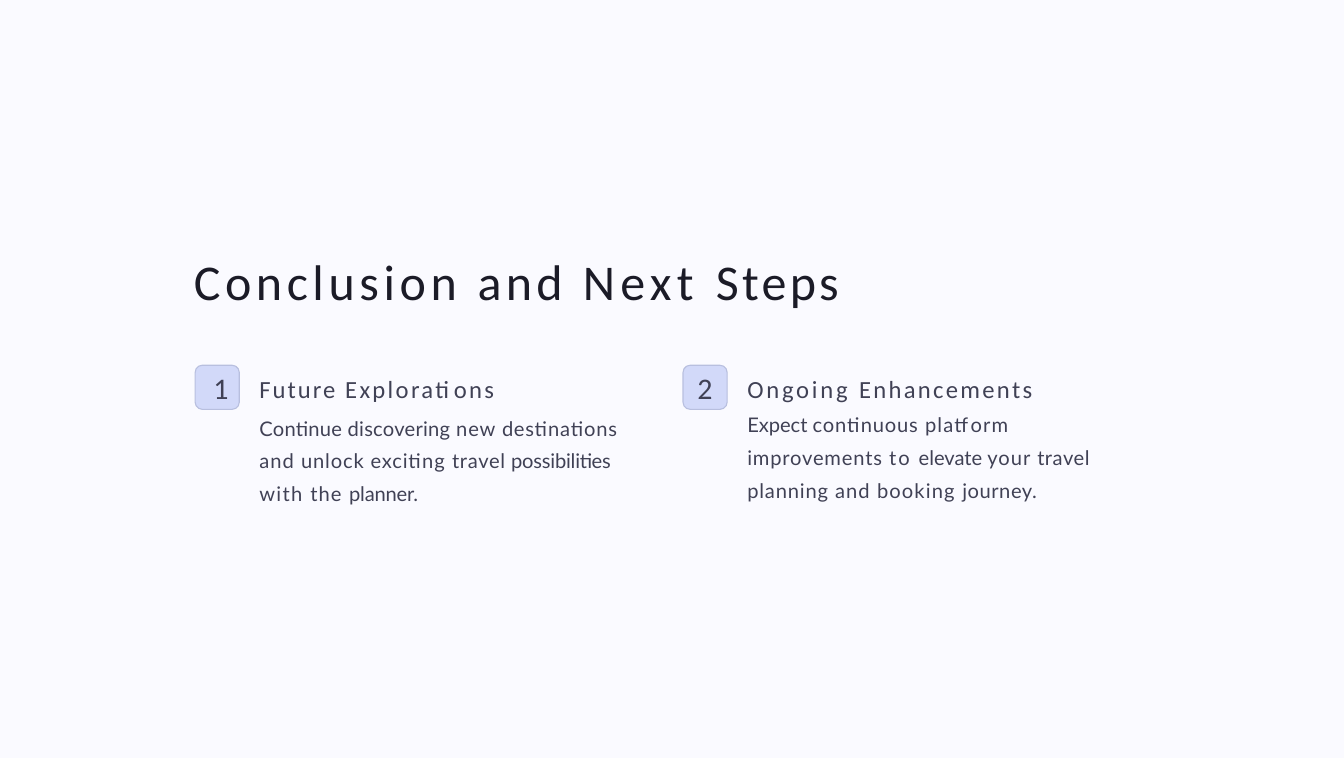
import pptx
import pptx.dml.color
import pptx.enum.shapes
import pptx.enum.text
import pptx.util

Pt = pptx.util.Pt
COLORS = {
    "background": "FAFAFF",
    "title": "1B1B27",
    "text": "404155",
    "badge": "D2D9F9",
    "badge_line": "B8BFDF",
}
TITLE = [("Conclusion ", 3.1), ("and ", 2.9), ("Next ", 3.6), ("Steps", 2.2)]
STEPS = [
    {
        "number": "1",
        "number_inset": 5,
        "heading": [("Future ", 1.4), ("Explorations", 1.6)],
        "body": [
            ("Continue discovering ", 0.2), ("new ", 0.6), ("destinations ", 0.5),
            ("and ", 0.7), ("unlock exciting ", 0.6), ("travel", 0.5),
            (" possibilities ", -0.1), ("with ", 0.9), ("the ", 0.8), ("planner.", -0.1),
        ],
        "line_spacing": 1.34,
        "space_before": 3.1,
    },
    {
        "number": "2",
        "number_inset": 0,
        "heading": [("Ongoing ", 1.9), ("Enhancements", 1.6)],
        "body": [
            ("Expect ", 0), ("continuous ", 0.6), ("platform ", 0.8),
            ("improvements ", 0.6), ("to ", 1.3), ("elevate ", 0), ("your ", 0.7),
            ("travel ", 0.4), ("planning ", 0.6), ("and ", 0.7), ("booking ", 0.8),
            ("journey.", 0.4),
        ],
        "line_spacing": 1.37,
        "space_before": 0,
    },
]
STEP_LEFT, STEP_PITCH = 130.7, 326.7
BADGE_TOP, BADGE_SIZE = 244.6, 29.5
TEXT_OFFSET, TEXT_TOP, TEXT_WIDTH, TEXT_HEIGHT = 43, 250.5, 250, 90


def color(name):
    return pptx.dml.color.RGBColor.from_string(COLORS[name])


def format_font(font, name, size, color_name):
    font.name = name
    font.size = Pt(size)
    font.bold = False
    font.color.rgb = color(color_name)


def write_spaced(paragraph, pieces, name, size, color_name):
    paragraph.alignment = pptx.enum.text.PP_ALIGN.LEFT
    for text, spacing in pieces:
        run = paragraph.add_run()
        run.text = text
        format_font(run.font, name, size, color_name)
        run.font._element.set("spc", str(round(spacing * 100)))


def prepare_frame(text_frame, anchor, left=0, top=0):
    text_frame.margin_left, text_frame.margin_top = Pt(left), Pt(top)
    text_frame.margin_right = text_frame.margin_bottom = 0
    text_frame.vertical_anchor = anchor
    text_frame.auto_size = pptx.enum.text.MSO_AUTO_SIZE.NONE
    text_frame.word_wrap = True


def set_title(slide):
    title = slide.shapes.title
    title.left, title.top, title.width, title.height = Pt(129.8), Pt(166.3), Pt(440), Pt(42.5)
    prepare_frame(title.text_frame, pptx.enum.text.MSO_ANCHOR.TOP, top=1.4)
    write_spaced(title.text_frame.paragraphs[0], TITLE, "Calibri", 33.5, "title")


def add_badge(slide, left, number, number_inset):
    badge = slide.shapes.add_shape(
        pptx.enum.shapes.MSO_SHAPE.ROUNDED_RECTANGLE,
        Pt(left), Pt(BADGE_TOP), Pt(BADGE_SIZE), Pt(BADGE_SIZE))
    badge.adjustments[0] = 0.16
    badge.shadow.inherit = False
    badge.fill.solid()
    badge.fill.fore_color.rgb = color("badge")
    badge.line.color.rgb = color("badge_line")
    badge.line.width = Pt(0.75)
    prepare_frame(badge.text_frame, pptx.enum.text.MSO_ANCHOR.MIDDLE, left=number_inset)
    badge.text_frame.text = number
    paragraph = badge.text_frame.paragraphs[0]
    paragraph.alignment = pptx.enum.text.PP_ALIGN.CENTER
    format_font(paragraph.runs[0].font, "Calibri", 20, "text")


def add_step_text(slide, left, step):
    box = slide.shapes.add_textbox(Pt(left), Pt(TEXT_TOP), Pt(TEXT_WIDTH), Pt(TEXT_HEIGHT))
    prepare_frame(box.text_frame, pptx.enum.text.MSO_ANCHOR.TOP)
    write_spaced(box.text_frame.paragraphs[0], step["heading"], "Calibri", 16.5, "text")
    body = box.text_frame.add_paragraph()
    body.line_spacing = step["line_spacing"]
    body.space_before = Pt(step["space_before"])
    write_spaced(body, step["body"], "Lato", 13.5, "text")


def main():
    presentation = pptx.Presentation()
    presentation.slide_width, presentation.slide_height = Pt(900), Pt(507.6)
    slide = presentation.slides.add_slide(presentation.slide_layouts[5])
    slide.background.fill.solid()
    slide.background.fill.fore_color.rgb = color("background")
    set_title(slide)
    for index, step in enumerate(STEPS):
        left = STEP_LEFT + index * STEP_PITCH
        add_badge(slide, left, step["number"], step["number_inset"])
        add_step_text(slide, left + TEXT_OFFSET, step)
    presentation.save("out.pptx")


if __name__ == "__main__":
    main()
